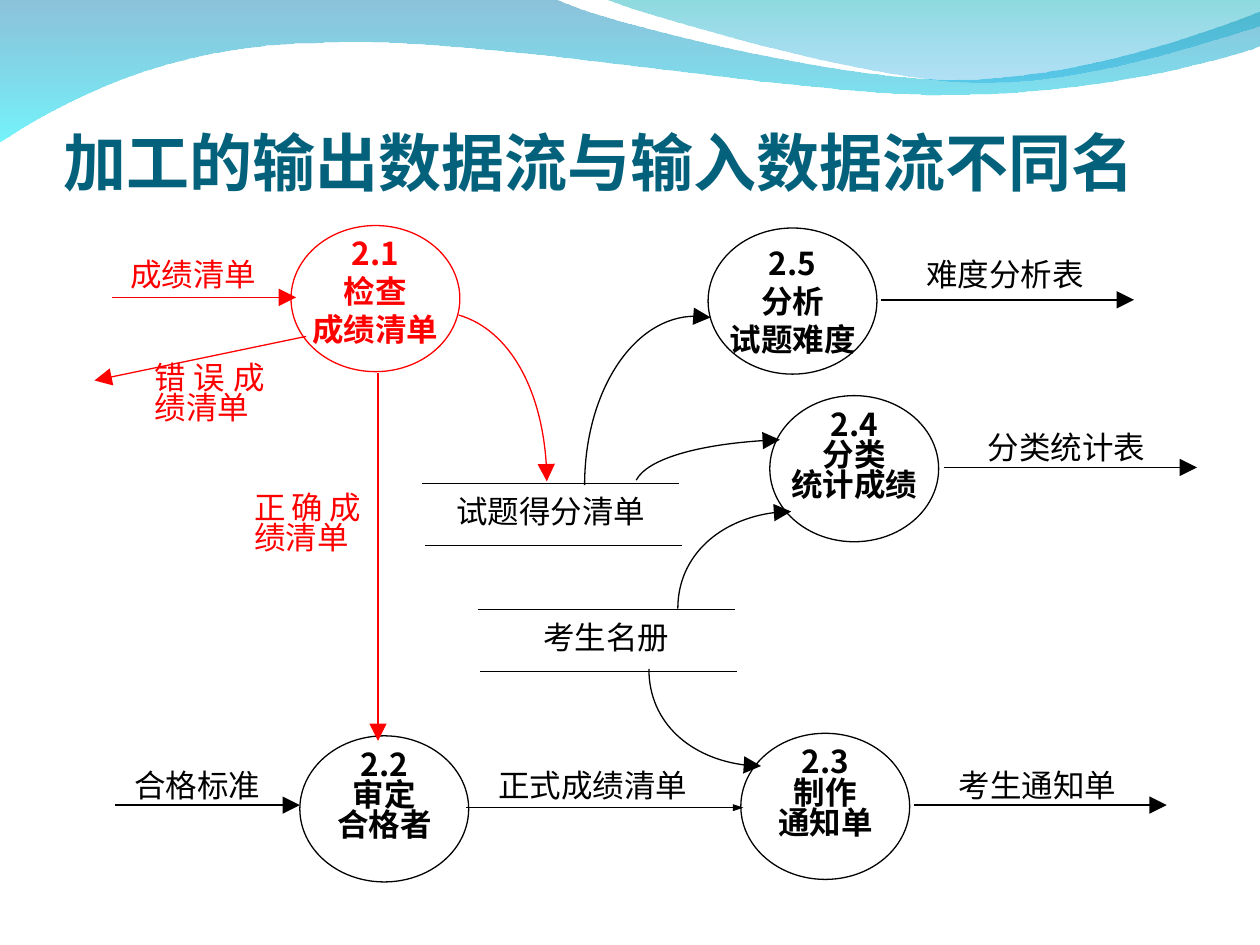
from dataclasses import dataclass

from lxml.etree import SubElement
from pptx import Presentation
from pptx.dml.color import RGBColor
from pptx.enum.shapes import MSO_CONNECTOR, MSO_SHAPE
from pptx.enum.text import MSO_ANCHOR, MSO_AUTO_SIZE, PP_ALIGN
from pptx.oxml.ns import qn
from pptx.util import Inches, Pt


@dataclass(frozen=True)
class Theme:
    font: str = "Noto Sans CJK SC"
    title: str = "04617B"
    ink: str = "000000"
    accent: str = "FF0000"
    title_size: int = 36
    body_size: int = 18
    line_width: float = 0.75
    tight: float = 0.8


THEME = Theme()
INK, RED, TIGHT = THEME.ink, THEME.accent, THEME.tight

WAVES = [
    ((0, -0.01),
     [(4.4, -0.01), (4.76, 0.17, 6.64, 0.63, 7.58, 0.63),
      (8.53, 0.63, 9.58, 0.26, 10, 0.09), (10.01, 0.36),
      (9.83, 0.44, 8.7, 0.76, 7.46, 0.75), (6.22, 0.75, 3.82, 0.28, 2.57, 0.34),
      (1.29, 0.35, 0.46, 0.83, -0.01, 1.13)],
     [("0079AF", 45), ("00EBF8", 55)]),
    ((4.79, -0.01),
     [(5.09, 0.11, 6.82, 0.62, 7.69, 0.65), (8.56, 0.69, 9.61, 0.32, 10, 0.21), (10, 0)],
     [("00ADB6", 45), ("009BE5", 30)]),
]

PROCESSES = [
    (5.62, 1.81, "2.5\n分析\n试题难度", INK, (1, 1, 1)),
    (6.11, 3.14, "2.4\n分类\n统计成绩", INK, (TIGHT,) * 3),
    (5.88, 5.82, "2.3\n制作\n通知单", INK, (TIGHT,) * 3),
    (2.38, 5.84, "2.2\n审定\n合格者", INK, (TIGHT,) * 3),
    (2.31, 1.79, "2.1\n检查\n成绩清单", RED, (TIGHT, 1, 1)),
]

STORES = [(3.79, 4.84, 1.51, "考生名册"), (3.35, 3.84, 1.94, "试题得分清单")]

FLOWS = [
    ((6.99, 2.38), (9, 2.38), INK, "lg"),
    ((7.49, 3.71), (9.5, 3.71), INK, "lg"),
    ((7.25, 6.39), (9.26, 6.39), INK, "lg"),
    ((3.7, 6.41), (5.9, 6.41), INK, "sm"),
    ((0.91, 6.39), (2.38, 6.39), INK, "lg"),
    ((0.89, 2.36), (2.35, 2.36), RED, "lg"),
    ((3, 2.96), (3, 5.88), RED, "lg"),
    ((2.43, 2.67), (0.75, 3.02), RED, "lg"),
]

LABELS = [
    (7.02, 2.03, 1.91, "难度分析表", INK, PP_ALIGN.CENTER),
    (7.51, 3.41, 1.91, "分类统计表", INK, PP_ALIGN.CENTER),
    (7.28, 6.09, 1.91, "考生通知单", INK, PP_ALIGN.CENTER),
    (3.75, 6.09, 1.91, "正式成绩清单", INK, PP_ALIGN.CENTER),
    (0.82, 6.09, 1.49, "合格标准", INK, PP_ALIGN.CENTER),
    (0.79, 2.03, 1.49, "成绩清单", RED, PP_ALIGN.CENTER),
    (1.92, 3.88, 1.04, "正确成绩清单", RED, PP_ALIGN.JUSTIFY),
    (1.13, 2.85, 1.07, "错误成绩清单", RED, PP_ALIGN.JUSTIFY),
]

ARCS = [
    ((5.15, 5.31), [(5.15, 5.74, 5.55, 6.08, 6.04, 6.08)], INK),
    ((5.38, 4.83), [(5.38, 4.41, 5.78, 4.06, 6.28, 4.06)], INK),
    ((4.64, 3.85), [(4.64, 3.11, 5.03, 2.51, 5.52, 2.51),
                    (5.56, 2.51, 5.6, 2.51, 5.64, 2.52)], INK),
    ((5.05, 3.81), [(5.14, 3.64, 5.61, 3.51, 6.19, 3.49)], INK),
    ((3.64, 2.5), [(4.05, 2.62, 4.34, 3.17, 4.34, 3.82)], RED),
]


class Diagram:
    """Draws data-flow elements on the current slide in one style."""

    def __init__(self, s, theme):
        self.s, self.theme = s, theme

    def style_text(self, tf, color, size, bold=False, align=None, spacings=()):
        """Format every run, and each paragraph with its line spacing."""
        for p in tf.paragraphs:
            p.alignment = align
            for r in p.runs:
                r.font.name, r.font.size, r.font.bold = self.theme.font, Pt(size), bold
                r.font.color.rgb = RGBColor.from_string(color)
                SubElement(r.font._element, qn("a:ea"), typeface=self.theme.font)
        for p, spacing in zip(tf.paragraphs, spacings):
            p.line_spacing = float(spacing)

    def stroke(self, line, color):
        """Set the common line width and the given colour."""
        line.width = Pt(self.theme.line_width)
        line.color.rgb = RGBColor.from_string(color)

    def arrow(self, line, size):
        """Put a triangle at the end of a line."""
        length = "med" if size == "sm" else size
        SubElement(line._get_or_add_ln(), qn("a:tailEnd"), type="triangle", w=size, len=length)

    def title(self, text):
        """Place and format the title in front of the backdrop."""
        sp = self.s.shapes.title
        sp.left, sp.top, sp.width, sp.height = map(Inches, (0.5, 0.33, 9, 1.25))
        tf = sp.text_frame
        tf.text = text
        tf.auto_size, tf.vertical_anchor = MSO_AUTO_SIZE.NONE, MSO_ANCHOR.BOTTOM
        tf.margin_left = tf.margin_right = tf.margin_bottom = 0
        tf.margin_top = Inches(0.05)
        self.style_text(tf, self.theme.title, self.theme.title_size, True, PP_ALIGN.LEFT)
        sp.element.getparent().append(sp.element)

    def text(self, x, y, w, h, text, color, align=PP_ALIGN.CENTER, bold=False,
             spacings=(THEME.tight,)):
        """Add a wrapped text box."""
        tf = self.s.shapes.add_textbox(*map(Inches, (x, y, w, h))).text_frame
        tf.word_wrap = True
        tf.text = text
        self.style_text(tf, color, self.theme.body_size, bold, align, spacings)

    def process(self, x, y, text, color, spacings):
        """Add a process bubble with its caption."""
        sp = self.s.shapes.add_shape(MSO_SHAPE.OVAL, *map(Inches, (x, y, 1.34, 1.16)))
        sp.shadow.inherit = False
        sp.fill.background()
        self.stroke(sp.line, color)
        self.text(x - 0.1, y + 0.08, 1.54, 1.06, text, color, bold=True, spacings=spacings)

    def line(self, start, end, color, size=None):
        """Add a straight line, with an arrowhead when a size is given."""
        cx = self.s.shapes.add_connector(MSO_CONNECTOR.STRAIGHT, *map(Inches, start + end))
        self.stroke(cx.line, color)
        if size:
            self.arrow(cx.line, size)
        SubElement(cx._element.spPr, qn("a:effectLst"))

    def store(self, x, y, w, text):
        """Add a data store: two rules around a name."""
        for dx, dy in ((0, 0), (0.02, 0.49)):
            self.line((x + dx, y + dy), (x + dx + 2.04, y + dy), INK)
        self.text(x + 1.02 - w / 2, y + 0.07, w, 0.61, text, INK)

    def outline(self, start, segments, close):
        """Add a freeform whose six-number segments are Bezier curves."""
        points = [(Inches(g[i]), Inches(g[i + 1])) for g in segments for i in range(0, len(g), 2)]
        fb = self.s.shapes.build_freeform(*map(Inches, start), scale=1.0)
        fb.add_line_segments(points, close=close)
        sp = fb.convert_to_shape()
        sp.shadow.inherit = False
        steps = iter(list(sp.element.iter(qn("a:lnTo"))))
        for segment in segments:
            first = next(steps)
            if len(segment) == 6:
                first.tag = qn("a:cubicBezTo")
                for step in (next(steps), next(steps)):
                    first.append(step[0])
                    step.getparent().remove(step)
        return sp

    def arc(self, start, segments, color):
        """Add a curved arrow."""
        sp = self.outline(start, segments, False)
        sp.fill.background()
        self.stroke(sp.line, color)
        self.arrow(sp.line, "lg")

    def wave(self, start, segments, stops):
        """Add a translucent wave shaded from top to bottom."""
        sp = self.outline(start, segments, True)
        sp.line.fill.background()
        sp.fill.gradient()
        sp.fill.gradient_angle = 270
        for i, (stop, (color, alpha)) in enumerate(zip(sp.fill.gradient_stops, stops)):
            stop.position = float(i)
            stop.color.rgb = RGBColor.from_string(color)
        for clr, (_, alpha) in zip(sp.element.spPr.iter(qn("a:srgbClr")), stops):
            SubElement(clr, qn("a:alpha"), val=str(alpha * 1000))


def main():
    """Build the slide and save it."""
    prs = Presentation()
    prs.slide_width, prs.slide_height = Inches(10), Inches(7.5)
    d = Diagram(prs.slides.add_slide(prs.slide_layouts[5]), THEME)
    for draw, rows in ((d.wave, WAVES), (d.process, PROCESSES), (d.store, STORES),
                       (d.line, FLOWS), (d.arc, ARCS)):
        for row in rows:
            draw(*row)
    for x, y, w, text, color, align in LABELS:
        d.text(x, y, w, 0.63, text, color, align)
    d.title("加工的输出数据流与输入数据流不同名")
    prs.save("out.pptx")


if __name__ == "__main__":
    main()
